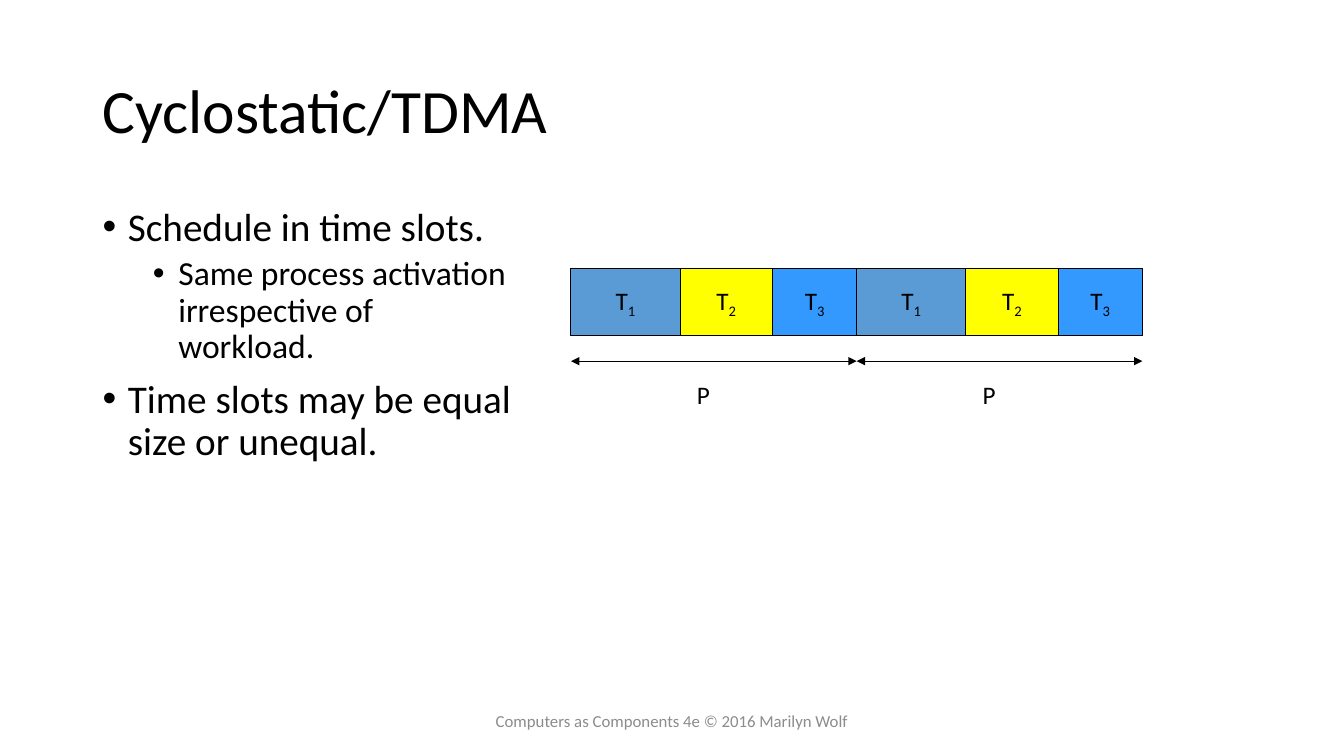
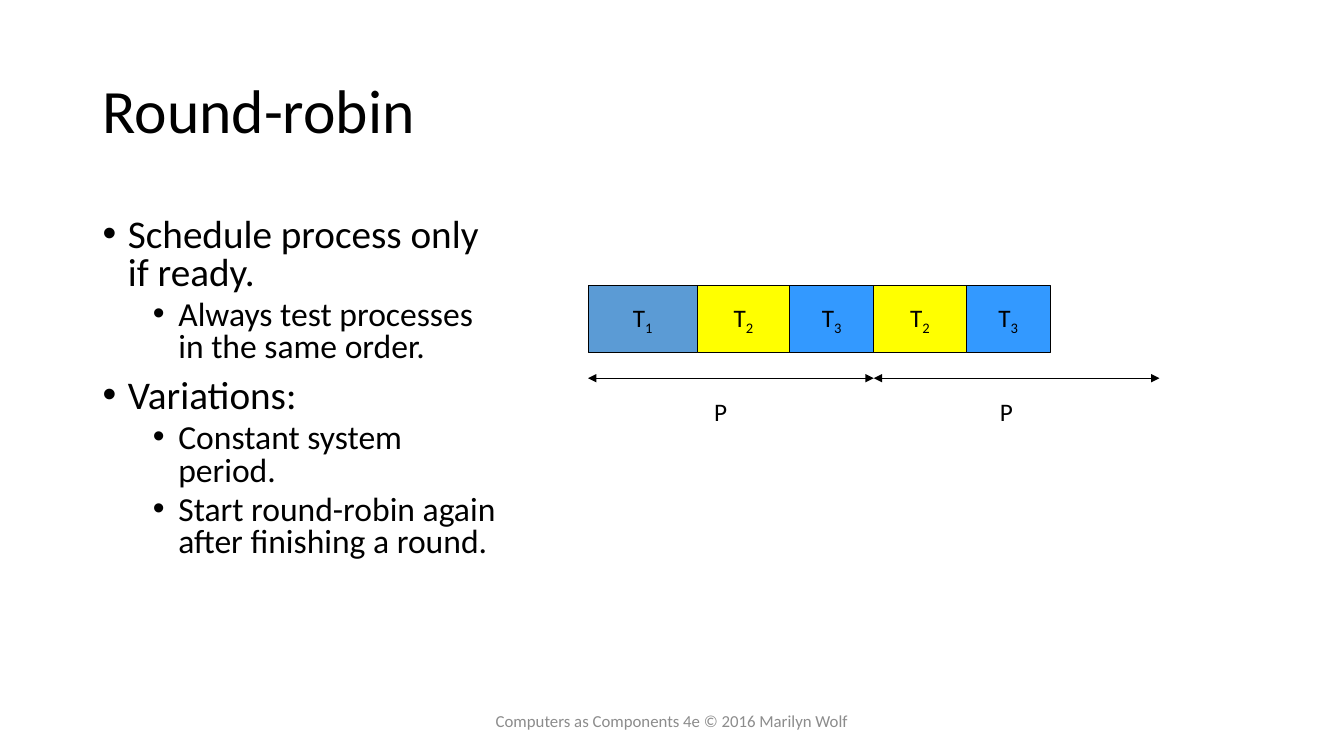
from lxml import etree
from pptx import Presentation, util as u
from pptx.dml.color import RGBColor
from pptx.enum import shapes, text
from pptx.oxml.ns import qn

FONT = "Calibri"
INK = {"text": "000000", "foot": "8C8C8C", "back": "FFFFFF"}
FOOT = "Computers as Components 4e © 2016 Marilyn Wolf"

# Task number: slot width in cm, colour
TASKS = {1: (2.75, "5B9BD5"), 2: (2.33, "FFFF00"), 3: (2.12, "3399FF")}
PERIOD = sum(width for width, _ in TASKS.values())

# Outline level: text size, left indent in cm, space before
LEVELS = [(28, 0.64, 10), (24, 1.91, 5)]

DECK = [
    dict(title="Cyclostatic/TDMA", body=(5.1, 10.8), lead=0.9,
         items=[(0, "Schedule in time slots."),
                (1, "Same process activation irrespective of workload."),
                (0, "Time slots may be equal size or unequal.")],
         start=(14.39, 6.77), slots=[1, 2, 3, 1, 2, 3]),
    dict(title="Round-robin", body=(5.38, 10.59), lead=0.8,
         items=[(0, "Schedule process only if ready."),
                (1, "Always test processes in the same order."),
                (0, "Variations:"),
                (1, "Constant system period."),
                (1, "Start round-robin again after finishing a round.")],
         start=(14.82, 7.2), slots=[1, 2, 3, 2, 3]),
]


def rgb(code):
    return RGBColor.from_string(code)


def place(shape, left, top, width, height):
    shape.left, shape.top = u.Cm(left), u.Cm(top)
    shape.width, shape.height = u.Cm(width), u.Cm(height)


def add_run(para, words, size, ink=INK["text"]):
    run = para.add_run()
    run.text = words
    font = run.font
    font.name, font.size = FONT, u.Pt(size)
    font.color.rgb = rgb(ink)
    return run


def add_title(slide, words):
    shape = slide.shapes.title
    place(shape, 2.33, 1.01, 29.21, 3.68)
    frame = shape.text_frame
    frame.vertical_anchor = text.MSO_ANCHOR.MIDDLE
    para = frame.paragraphs[0]
    para.alignment = text.PP_ALIGN.LEFT
    para.line_spacing = 0.9
    add_run(para, words, 44)


def add_list(slide, items, top, width, lead):
    shape = slide.placeholders[1]
    place(shape, 2.33, top, width, 11.59)
    frame = shape.text_frame
    frame.auto_size = text.MSO_AUTO_SIZE.NONE
    for i, (level, words) in enumerate(items):
        size, indent, gap = LEVELS[level]
        para = frame.add_paragraph() if i else frame.paragraphs[0]
        para.level = level
        para.line_spacing = lead
        para.space_before = u.Pt(gap if i else 0)
        props = para._p.get_or_add_pPr()
        props.set("marL", str(u.Cm(indent)))
        props.set("indent", str(-u.Cm(0.64)))
        etree.SubElement(props, qn("a:buFont"), typeface="Arial")
        etree.SubElement(props, qn("a:buChar"), char="•")
        add_run(para, words, size)


def add_label(slide, words, box, size, ink=INK["text"], wrap=False):
    shape = slide.shapes.add_textbox(*map(u.Cm, box))
    frame = shape.text_frame
    frame.word_wrap = wrap
    frame.vertical_anchor = text.MSO_ANCHOR.MIDDLE
    para = frame.paragraphs[0]
    para.alignment = text.PP_ALIGN.CENTER
    add_run(para, words, size, ink)


def add_slot(slide, task, left, top):
    width, fill = TASKS[task]
    shape = slide.shapes.add_shape(
        shapes.MSO_SHAPE.RECTANGLE, *map(u.Cm, (left, top, width, 1.69)))
    shape.shadow.inherit = False
    shape.fill.solid()
    shape.fill.fore_color.rgb = rgb(fill)
    shape.line.color.rgb = rgb(INK["text"])
    shape.line.width = u.Pt(0.75)
    frame = shape.text_frame
    frame.word_wrap = False
    frame.vertical_anchor = text.MSO_ANCHOR.MIDDLE
    para = frame.paragraphs[0]
    para.alignment = text.PP_ALIGN.CENTER
    add_run(para, "T", 18)
    sub = add_run(para, str(task), 18)
    sub.font._element.set("baseline", "-25000")


def add_span(slide, left, top):
    """Draw one period arrow with its label."""
    arrow = slide.shapes.add_connector(
        shapes.MSO_CONNECTOR.STRAIGHT,
        *map(u.Cm, (left, top, left + PERIOD, top)))
    arrow.line.color.rgb = rgb(INK["text"])
    arrow.line.width = u.Pt(0.75)
    props = arrow._element.spPr
    line = props.find(qn("a:ln"))
    for end in ("a:headEnd", "a:tailEnd"):
        etree.SubElement(line, qn(end), type="triangle")
    etree.SubElement(props, qn("a:effectLst"))
    add_label(slide, "P", (left + 2.92, top + 0.32, 0.84, 1.02), 18)


def add_chain(slide, start, slots):
    """Draw the slots end to end, above two periods."""
    left, top = start
    edge = left
    for task in slots:
        add_slot(slide, task, edge, top)
        edge += TASKS[task][0]
    for i in range(2):
        add_span(slide, left + i * PERIOD, top + 2.33)


def main():
    deck = Presentation()
    deck.slide_width, deck.slide_height = u.Cm(33.87), u.Cm(19.05)
    back = deck.slide_master.background.fill
    back.solid()
    back.fore_color.rgb = rgb(INK["back"])
    for page in DECK:
        slide = deck.slides.add_slide(deck.slide_layouts[1])
        add_title(slide, page["title"])
        add_list(slide, page["items"], *page["body"], page["lead"])
        add_chain(slide, page["start"], page["slots"])
        add_label(slide, FOOT, (11.22, 17.66, 11.43, 1.01), 12,
                  INK["foot"], wrap=True)
    deck.save("out.pptx")


if __name__ == "__main__":
    main()
